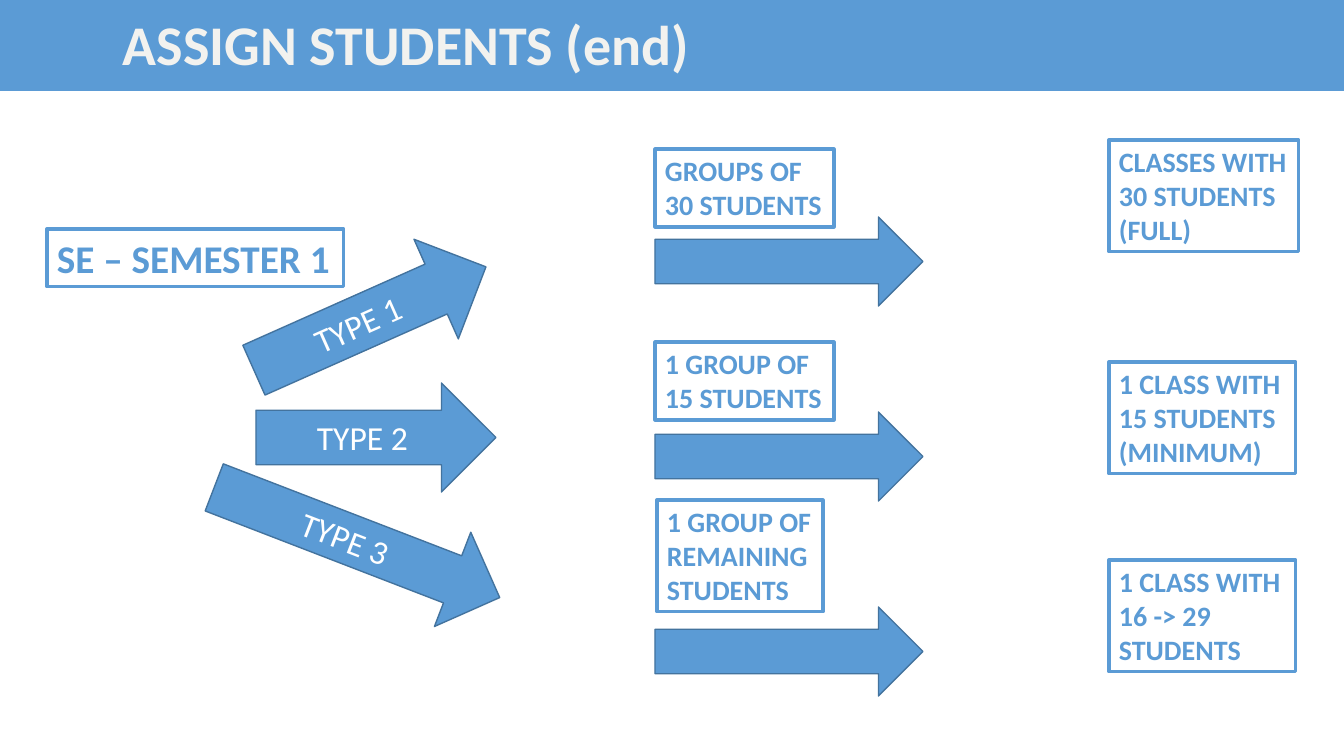
from pptx import Presentation
from pptx import util as u
from pptx.dml.color import RGBColor
from pptx.enum import shapes, text

BLUE, EDGE, WHITE, CREAM = "5B9BD5", "43739E", "FFFFFF", "F2F2EF"


def px(*lengths):
    return [round(n * 914400 / 100.8) for n in lengths]


def dress(part, fill, line, words, **font):
    part.fill.solid()
    part.fill.fore_color.rgb = RGBColor.from_string(fill)
    if line:
        color, width = line
        part.line.color.rgb = RGBColor.from_string(color)
        part.line.width = u.Pt(width)
    if not words:
        return
    part.text_frame.text = words
    color = font.pop("color")
    for paragraph in part.text_frame.paragraphs:
        paragraph.alignment = font.get("align", text.PP_ALIGN.LEFT)
        paragraph.font.color.rgb = RGBColor.from_string(color)
        look = {"name": "Calibri", "size": u.Pt(font["size"]), "bold": font["bold"]}
        for key, value in look.items():
            setattr(paragraph.font, key, value)


deck = Presentation()
deck.slide_width, deck.slide_height = px(1344, 756)
slide = deck.slides.add_slide(deck.slide_layouts[5])

# Title band
title = slide.shapes.title
title.left, title.top, title.width, title.height = px(0, 0, 1344, 91)
dress(title, BLUE, None, "ASSIGN STUDENTS (end)", size=40, bold=True, color=CREAM)
left_inset, bottom_inset = px(123, 4)
title_frame = {
    "margin_left": left_inset,
    "margin_top": 0,
    "margin_bottom": bottom_inset,
    "vertical_anchor": text.MSO_ANCHOR.MIDDLE,
    "auto_size": text.MSO_AUTO_SIZE.NONE,
}
for key, value in title_frame.items():
    setattr(title.text_frame, key, value)

# Arrows: three types fanning out, then one per group
arrows = [
    ("TYPE 1", 243, 264, 254, 109, 336),
    ("TYPE 2", 256, 383, 240, 109, 0),
    ("TYPE 3", 204, 492, 306, 101, 21.1),
]
arrows += [("", 655, 217 + 195 * row, 268, 89, 0) for row in range(3)]
for label, left, top, width, height, angle in arrows:
    arrow = slide.shapes.add_shape(
        shapes.MSO_SHAPE.RIGHT_ARROW, *px(left, top, width, height))
    arrow.shadow.inherit = False
    arrow.rotation = angle
    arrow.text_frame.vertical_anchor = text.MSO_ANCHOR.MIDDLE
    dress(arrow, BLUE, (EDGE, 1), label, size=24, bold=False, color=WHITE,
          align=text.PP_ALIGN.CENTER)

# Framed labels: semester, groups, resulting classes
labels = [
    ("SE – SEMESTER 1", 47, 229, 297, 58, 28),
    ("GROUPS OF\n30 STUDENTS", 655, 149, 179, 78, 20),
    ("1 GROUP OF\n15 STUDENTS", 655, 342, 179, 78, 20),
    ("1 GROUP OF\nREMAINING\nSTUDENTS", 657, 500, 166, 112, 20),
    ("CLASSES WITH\n30 STUDENTS\n(FULL)", 1109, 140, 190, 112, 20),
    ("1 CLASS WITH\n15 STUDENTS\n(MINIMUM)", 1109, 362, 187, 112, 20),
    ("1 CLASS WITH\n16 -> 29\nSTUDENTS", 1109, 560, 187, 112, 20),
]
for words, left, top, width, height, size in labels:
    label = slide.shapes.add_textbox(*px(left, top, width, height))
    label.text_frame.word_wrap = False
    label.text_frame.auto_size = text.MSO_AUTO_SIZE.SHAPE_TO_FIT_TEXT
    dress(label, WHITE, (BLUE, 2.25), words, size=size, bold=True, color=BLUE)

deck.save("out.pptx")
